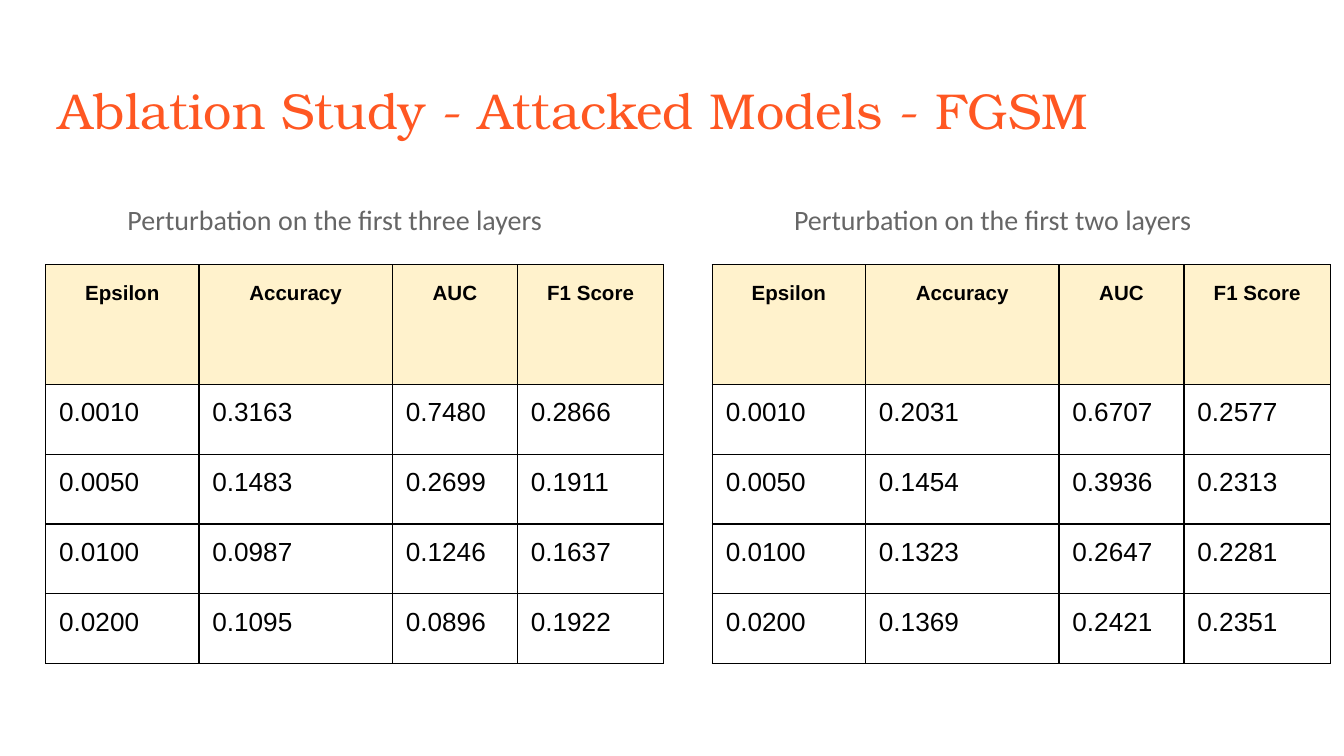
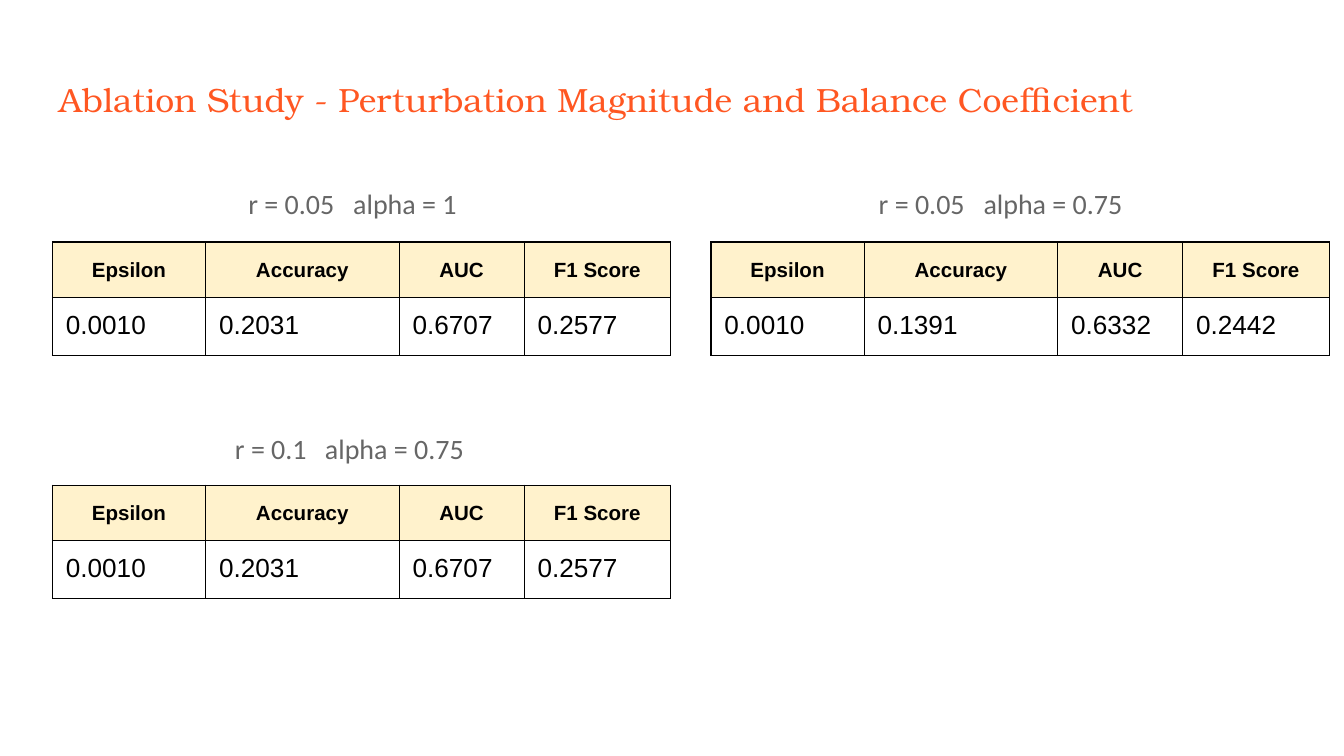
from lxml import etree
from pptx import Presentation
from pptx.dml.color import RGBColor
from pptx.enum import text
from pptx.oxml import ns
from pptx.util import Inches, Pt

ORANGE = RGBColor(0xFF, 0x57, 0x22)
GREY = RGBColor(0x66, 0x66, 0x66)
BLACK = RGBColor(0, 0, 0)
CREAM = RGBColor(0xFF, 0xF2, 0xCC)

TITLE_FONT = "TeX Gyre Bonum"
CAPTION_FONT = "Calibri"
TABLE_FONT = "Arial"

HEADERS = ("Epsilon", "Accuracy", "AUC", "F1 Score")
COLUMNS = (1.14, 1.44, 0.93, 1.09)
EPSILONS = ("0.0010", "0.0050", "0.0100", "0.0200")
INSET = Inches(0.1)
FRAME = Inches(3.28)

THREE_LAYERS = (
    ("0.3163", "0.7480", "0.2866"),
    ("0.1483", "0.2699", "0.1911"),
    ("0.0987", "0.1246", "0.1637"),
    ("0.1095", "0.0896", "0.1922"),
)
TWO_LAYERS = (
    ("0.2031", "0.6707", "0.2577"),
    ("0.1454", "0.3936", "0.2313"),
    ("0.1323", "0.2647", "0.2281"),
    ("0.1369", "0.2421", "0.2351"),
)
ALPHA_075 = (("0.1391", "0.6332", "0.2442"),)


def add_run(p, words, font, size, color, bold=False):
    r = p.add_run()
    r.text = words
    r.font.name = font
    r.font.size = Pt(size)
    r.font.bold = bold
    r.font.color.rgb = color


def add_text(s, box, words, font, size, color):
    tf = s.shapes.add_textbox(*map(Inches, box)).text_frame
    tf.word_wrap = True
    tf.vertical_anchor = text.MSO_ANCHOR.TOP
    tf.margin_left = tf.margin_right = tf.margin_top = tf.margin_bottom = INSET
    p = tf.paragraphs[0]
    add_run(p, words, font, size, color)
    return p


def add_title(s, words, size):
    add_text(s, (0.34, 0.49, 9.32, 0.63), words, TITLE_FONT, size, ORANGE)


def add_caption(s, box, words, tab=None):
    p = add_text(s, box, words, CAPTION_FONT, 15, GREY)
    if tab:
        tabs = etree.SubElement(p._p.get_or_add_pPr(), ns.qn("a:tabLst"))
        etree.SubElement(tabs, ns.qn("a:tab"), pos=str(Inches(tab)), algn="l")


def add_borders(cell):
    props = cell._tc.get_or_add_tcPr()
    for side in ("a:lnL", "a:lnR", "a:lnT", "a:lnB"):
        line = etree.SubElement(props, ns.qn(side), w=str(Pt(0.75)))
        fill = etree.SubElement(line, ns.qn("a:solidFill"))
        etree.SubElement(fill, ns.qn("a:srgbClr"), val=str(BLACK))


def fill_cell(cell, words, header):
    cell.margin_left = cell.margin_right = INSET
    cell.margin_top = cell.margin_bottom = INSET
    cell.vertical_anchor = text.MSO_ANCHOR.TOP
    add_borders(cell)
    p = cell.text_frame.paragraphs[0]
    if header:
        cell.fill.solid()
        cell.fill.fore_color.rgb = CREAM
        p.alignment = text.PP_ALIGN.CENTER
        p.line_spacing = 1.15
    else:
        cell.fill.background()
    add_run(p, words, TABLE_FONT, 11 if header else 14, BLACK, header)


def add_scores(s, left, top, scores, header_height, row_height):
    rows = [HEADERS] + [(e, *row) for e, row in zip(EPSILONS, scores)]
    heights = [header_height] + [row_height] * len(scores)
    frame = s.shapes.add_table(
        len(rows), len(COLUMNS), Inches(left), Inches(top), FRAME, FRAME)
    table = frame.table
    table.first_row = table.horz_banding = False
    for column, width in zip(table.columns, COLUMNS):
        column.width = Inches(width)
    for i, (values, height) in enumerate(zip(rows, heights)):
        table.rows[i].height = Inches(height)
        for j, value in enumerate(values):
            fill_cell(table.cell(i, j), value, i == 0)
    frame.width = frame.height = FRAME


def build_attacked_models(s):
    add_title(s, "Ablation Study - Attacked Models - FGSM", 27)
    top = 1.97
    for left, layers, scores in ((0.34, "three", THREE_LAYERS),
                                 (5.3, "two", TWO_LAYERS)):
        add_caption(s, (left + 0.51, top - 0.56, 3.58, 0.56),
                    f"Perturbation on the first {layers} layers")
        add_scores(s, left, top, scores, 0.89, 0.52)


def build_coefficients(s):
    add_title(s, "Ablation Study - Perturbation Magnitude and Balance Coefficient", 18)
    base = TWO_LAYERS[:1]
    panels = (
        (0.39, 1.8, 1.36, 0.51, 1.89, "0.05", "1", 0.78, base, 0.35),
        (5.29, 1.8, 1.15, 0.51, 2.3, "0.05", "0.75", 0.78, ALPHA_075, 0.4),
        (0.39, 3.61, 1.26, 0.5, 2.1, "0.1", "0.75", 0.67, base, 0.35),
    )
    for left, top, indent, rise, width, radius, alpha, tab, scores, height in panels:
        add_caption(s, (left + indent, top - rise, width, 0.56),
                    f"r = {radius}\talpha = {alpha}", tab)
        add_scores(s, left, top, scores, height, height + 0.02)


def main():
    prs = Presentation()
    prs.slide_width = Inches(10)
    prs.slide_height = prs.slide_width * 9 // 16
    for build in (build_attacked_models, build_coefficients):
        build(prs.slides.add_slide(prs.slide_layouts[6]))
    prs.save("out.pptx")


if __name__ == "__main__":
    main()
